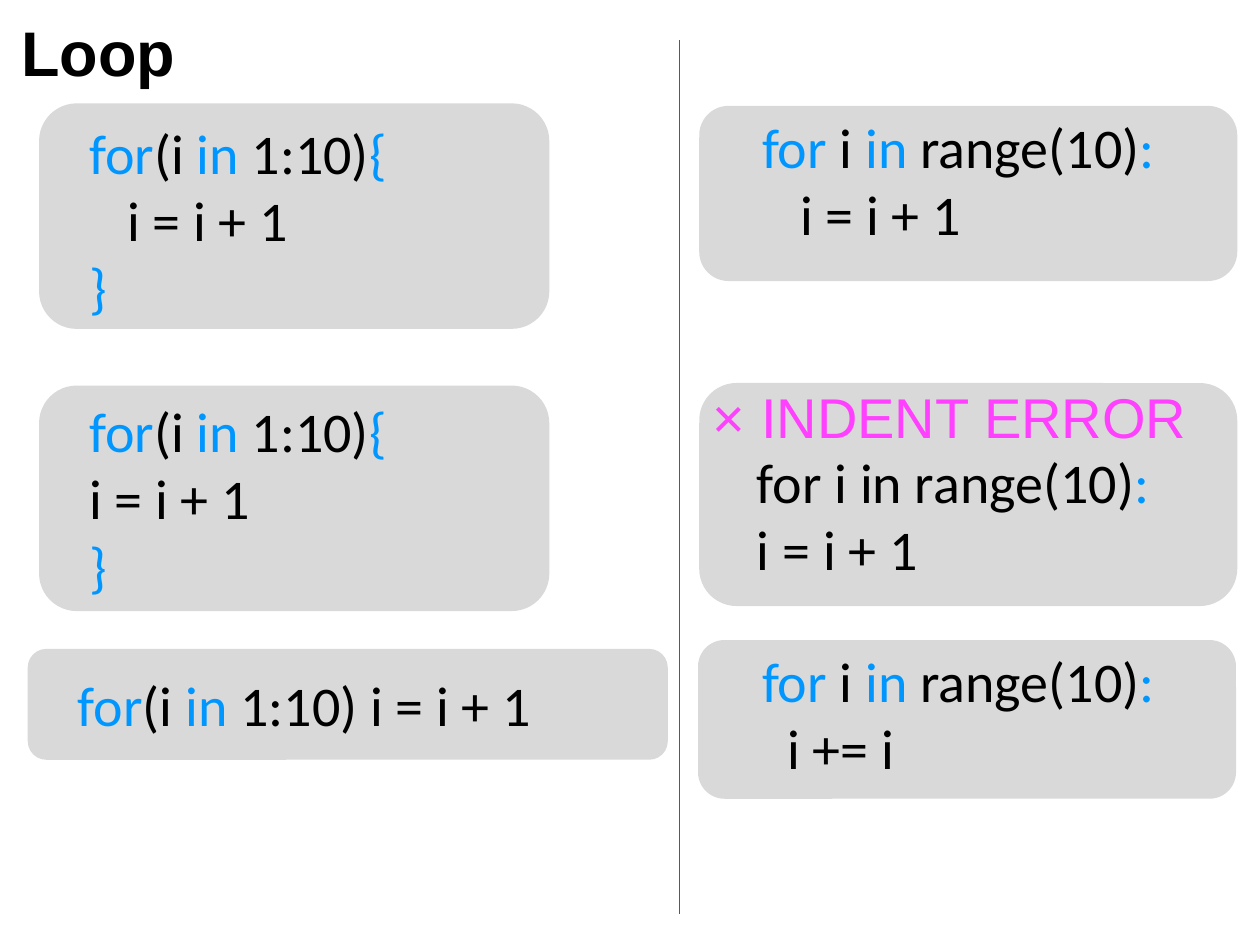
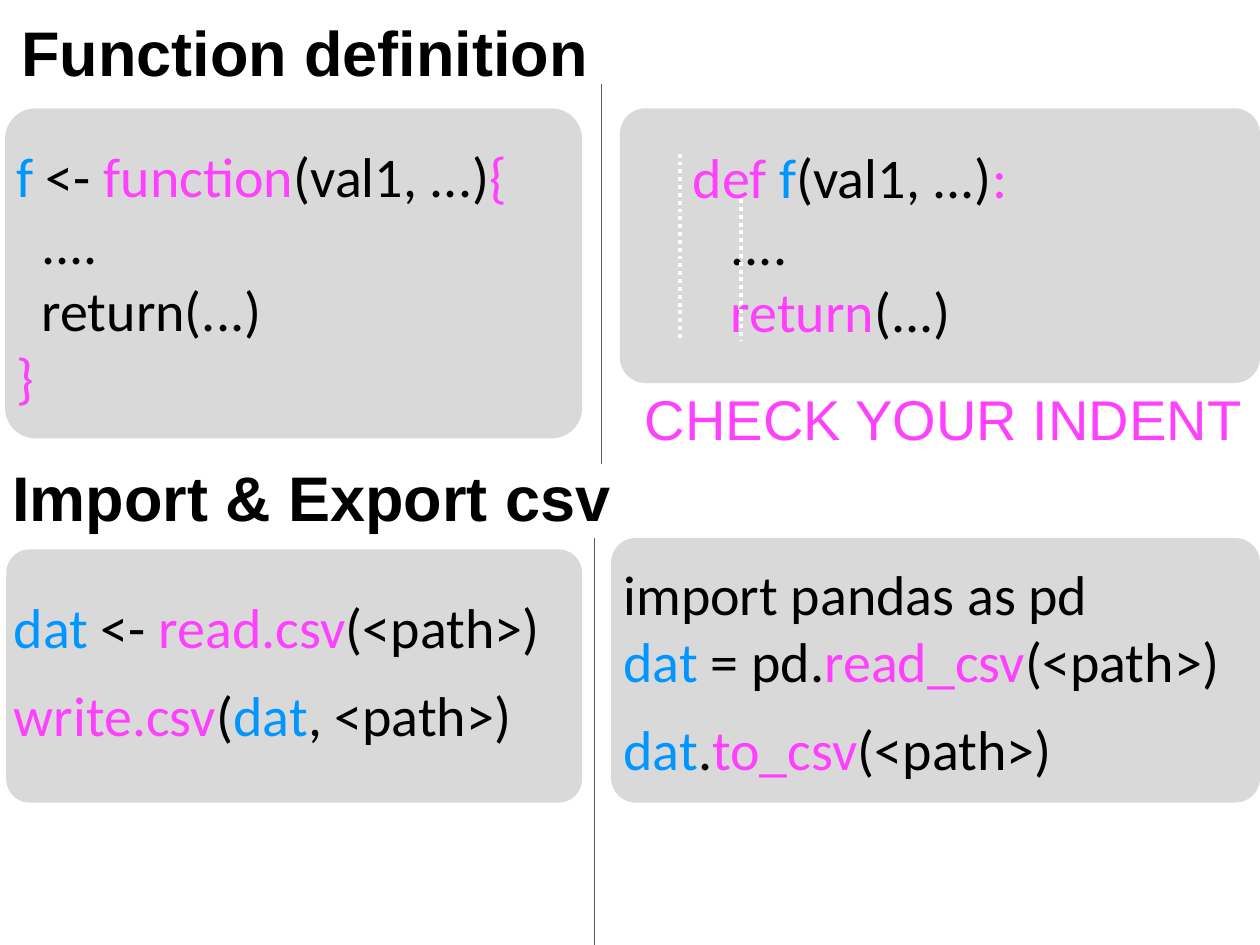
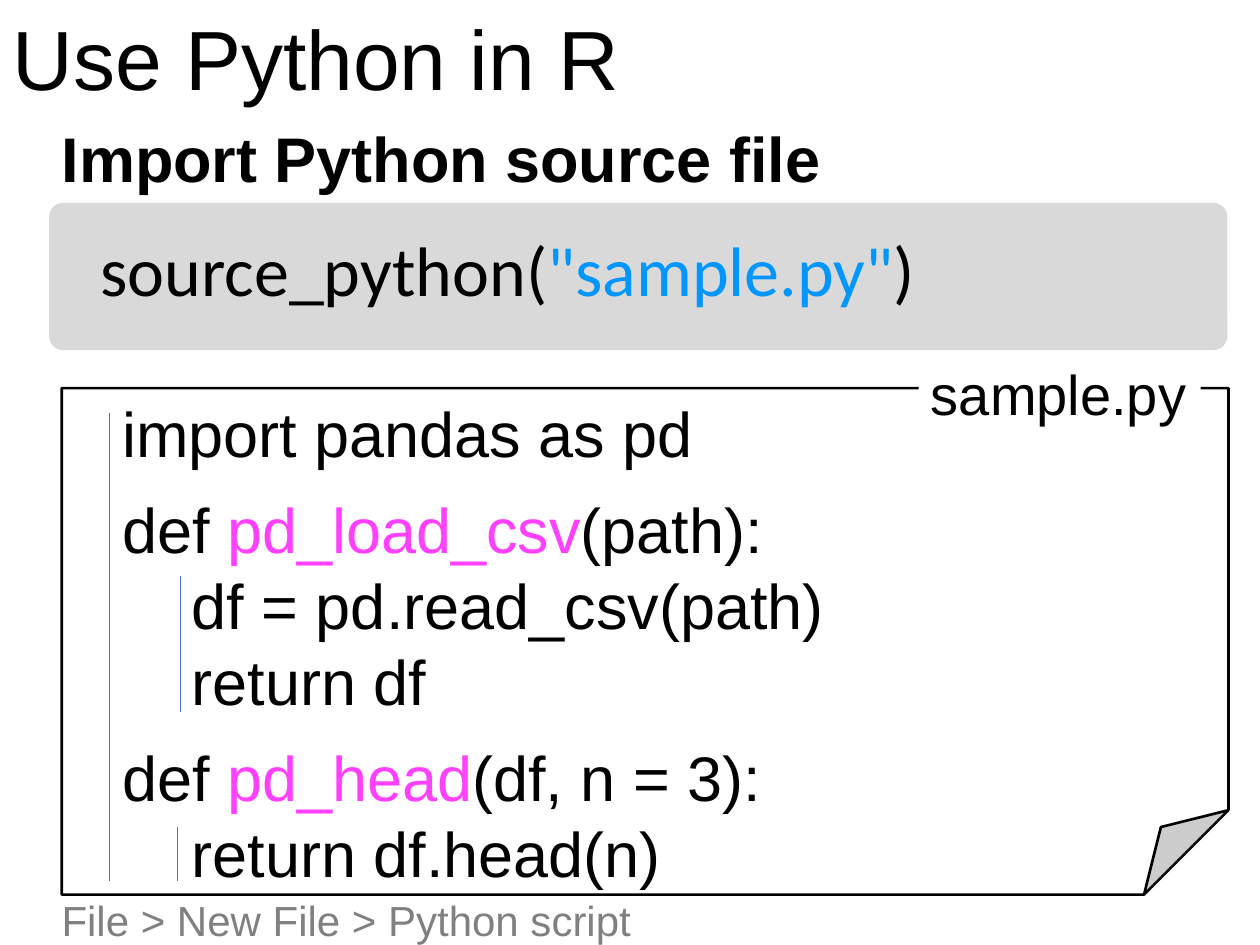
from dataclasses import dataclass

from lxml.etree import SubElement
from pptx import Presentation
from pptx.dml.color import RGBColor
from pptx.enum.dml import MSO_LINE
from pptx.enum.shapes import MSO_CONNECTOR, MSO_SHAPE
from pptx.enum.text import MSO_ANCHOR, MSO_AUTO_SIZE, PP_ALIGN
from pptx.oxml.ns import qn
from pptx.util import Inches, Pt


@dataclass(frozen=True)
class Style:
    size: int
    font: str = "Arial"
    tone: str = "000000"
    bold: bool = False


class Theme:
    ink, paper, card = "000000", "FFFFFF", "D9D9D9"
    blue, pink = "0096FF", "FF40FF"
    marks = {"~": blue, "^": pink}
    gap = 12
    styles = {
        "title": Style(48),
        "head": Style(36, bold=True),
        "code": Style(32, "Calibri"),
        "call": Style(40, "Calibri"),
        "script": Style(36),
        "label": Style(32),
        "warn": Style(32, tone=pink),
        "note": Style(24, tone="808080"),
    }
    # colour, width in points, dash
    rules = {
        "divider": ("595959", 0.5, None),
        "guide": ("4472C4", 0.5, None),
        "dots": (paper, 2.25, MSO_LINE.ROUND_DOT),
    }


# In a line of text "|" parts the runs; a run led by "~" is blue, by "^" pink.
# A text is a list of blocks of lines, with a gap between blocks.
R_FOR = "~for|(i |~in| 1:10)|~{"
PY_FOR = "~for |i |~in| range(10)|~:"

# title: style, place (left, top, width), words
# cards: left, top, width, height    rules: kind, x, top, bottom
SLIDES = [
    {
        "title": ("head", (0.07, 0.06, 1.49), "Loop"),
        "round": 0.167,
        "cards": [
            (0.31, 0.82, 4.05, 1.79), (0.31, 3.06, 4.05, 1.79),
            (0.22, 5.15, 5.08, 0.88), (5.55, 0.84, 4.27, 1.39),
            (5.55, 3.04, 4.27, 1.77), (5.54, 5.08, 4.27, 1.26),
        ],
        "texts": [
            ("code", (0.61, 0.89, 3.02), [[R_FOR, "   i = i + 1", "~}"]]),
            ("code", (5.95, 0.84, 3.83), [[PY_FOR, "   i = i + 1"]]),
            ("code", (0.61, 3.1, 3.02), [[R_FOR, "i = i + 1", "~}"]]),
            ("code", (0.52, 5.27, 4.81), [["~for|(i |~in |1:10) i = i + 1"]]),
            ("code", (5.95, 5.08, 3.83), [[PY_FOR, "  i += i"]]),
            ("code", (5.91, 3.5, 3.83), [["for i in range(10)|~:", "i = i + 1"]]),
            ("warn", (5.56, 2.99, 4.31), [["× INDENT ERROR"]]),
        ],
        "rules": [("divider", 5.39, 0.32, 7.25)],
    },
    {
        "title": ("head", (0.07, 0.06, 4.75), "Function definition"),
        "round": 0.093,
        "cards": [
            (0.04, 0.86, 4.58, 2.62), (4.92, 0.86, 5.08, 2.18),
            (0.05, 4.36, 4.57, 2.01), (4.85, 4.27, 5.15, 2.1),
        ],
        "texts": [
            ("code", (0.03, 1.07, 4.63), [[
                "~f| <- |^function|(val1, ...)|^{",
                "  ....", "  return(...)", "^}"]]),
            ("code", (5.4, 1.08, 2.96), [[
                "^def|~ f|(val1, ...)|^:", "   ....", "   |^return|(...)"]]),
            ("head", (0, 3.59, 5), [["Import & Export csv"]]),
            ("code", (0.01, 4.65, 4.69), [
                ["~dat| <- |^read.csv|(<path>)"],
                ["^write.csv|(|~dat|, <path>)"]]),
            ("code", (4.85, 4.39, 5.4), [
                ["import pandas as pd", "~dat| = pd.|^read_csv|(<path>)"],
                ["~dat|.|^to_csv|(<path>)"]]),
            ("warn", (5.02, 3, 4.98), [["CHECK YOUR INDENT"]]),
        ],
        "rules": [
            ("divider", 4.77, 0.67, 3.68), ("divider", 4.72, 4.27, 7.5),
            ("dots", 5.4, 1.22, 2.71), ("dots", 5.88, 1.58, 2.71),
        ],
    },
    {
        "title": ("title", (0, 0, 5.26), "Use Python in R"),
        "round": 0.095,
        "cards": [(0.39, 1.61, 9.35, 1.17)],
        "page": (0.49, 3.08, 9.26, 4.02),
        "texts": [
            ("head", (0.39, 0.9, 6.29), [["Import Python source file"]]),
            ("call", (0.7, 1.75, 6.93), [['source_python(|~"sample.py"|)']]),
            ("label", (7.29, 2.8, 2.24), [["sample.py"]]),
            ("script", (0.87, 3.08, 8.51), [
                ["import pandas as pd"],
                ["def |^pd_load_csv|(path):",
                 "    df = pd.read_csv(path)", "    return df"],
                ["def |^pd_head|(df, n = 3):", "    return df.head(n)"]]),
            ("note", (0.39, 7.05, 4.77), [["File > New File > Python script"]]),
        ],
        "rules": [
            ("guide", 0.87, 3.28, 6.99), ("guide", 1.43, 4.57, 5.65),
            ("guide", 1.41, 6.56, 6.99),
        ],
    },
]


def rgb(tone):
    return RGBColor.from_string(tone)


def paint(shape, tone):
    shape.fill.solid()
    shape.fill.fore_color.rgb = rgb(tone)


def write(shape, kind, place, blocks):
    """Place a text shape and fill it with marked lines."""
    style = Theme.styles[kind]
    lines = [(line, bool(b) and not n)
             for b, block in enumerate(blocks) for n, line in enumerate(block)]
    points = 1.2 * style.size * len(lines) + Theme.gap * (len(blocks) - 1)
    shape.left, shape.top, shape.width = map(Inches, place)
    shape.height = Pt(points) + Inches(0.1)
    frame = shape.text_frame
    frame.word_wrap = False
    frame.auto_size = MSO_AUTO_SIZE.SHAPE_TO_FIT_TEXT
    frame.vertical_anchor = MSO_ANCHOR.TOP
    for n, (line, apart) in enumerate(lines):
        para = frame.add_paragraph() if n else frame.paragraphs[0]
        para.alignment = PP_ALIGN.LEFT
        if apart:
            para.space_before = Pt(Theme.gap)
        for part in line.split("|"):
            tone = Theme.marks.get(part[0])
            run = para.add_run()
            run.text = part[1:] if tone else part
            font = run.font
            font.name, font.size, font.bold = style.font, Pt(style.size), style.bold
            font.color.rgb = rgb(tone or style.tone)


def block(slide, form, box, tone):
    shape = slide.shapes.add_shape(form, *map(Inches, box))
    shape.shadow.inherit = False
    paint(shape, tone)
    shape.line.fill.background()
    return shape


def rule(slide, kind, x, top, bottom):
    tone, width, dash = Theme.rules[kind]
    line = slide.shapes.add_connector(
        MSO_CONNECTOR.STRAIGHT, *map(Inches, (x, top, x, bottom)))
    line.line.color.rgb = rgb(tone)
    line.line.width = Pt(width)
    if dash:
        line.line.dash_style = dash
    SubElement(line._element.spPr, qn("a:effectLst"))


def build(deck, data):
    slide = deck.slides.add_slide(deck.slide_layouts[5])
    kind, place, words = data["title"]
    write(slide.shapes.title, kind, place, [[words]])
    for box in data["cards"]:
        card = block(slide, MSO_SHAPE.ROUNDED_RECTANGLE, box, Theme.card)
        card.adjustments[0] = data["round"]
    if "page" in data:
        page = block(slide, MSO_SHAPE.FOLDED_CORNER, data["page"], Theme.paper)
        page.line.color.rgb = rgb(Theme.ink)
        page.line.width = Pt(1.5)
    for kind, place, blocks in data["texts"]:
        text = slide.shapes.add_textbox(0, 0, 0, 0)
        write(text, kind, place, blocks)
        if kind == "label":
            paint(text, Theme.paper)
    for item in data["rules"]:
        rule(slide, *item)


def main():
    deck = Presentation()
    deck.slide_width, deck.slide_height = Inches(10), Inches(7.5)
    for data in SLIDES:
        build(deck, data)
    deck.save("out.pptx")


if __name__ == "__main__":
    main()
